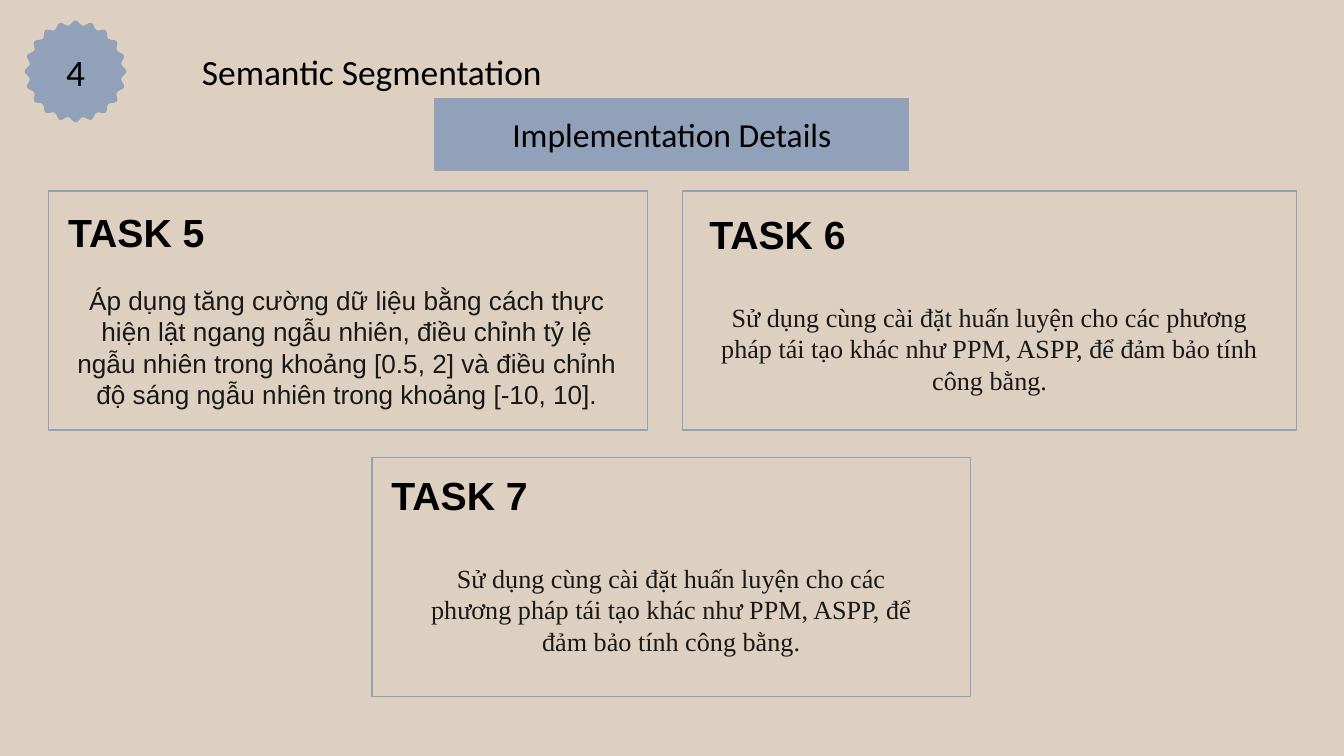
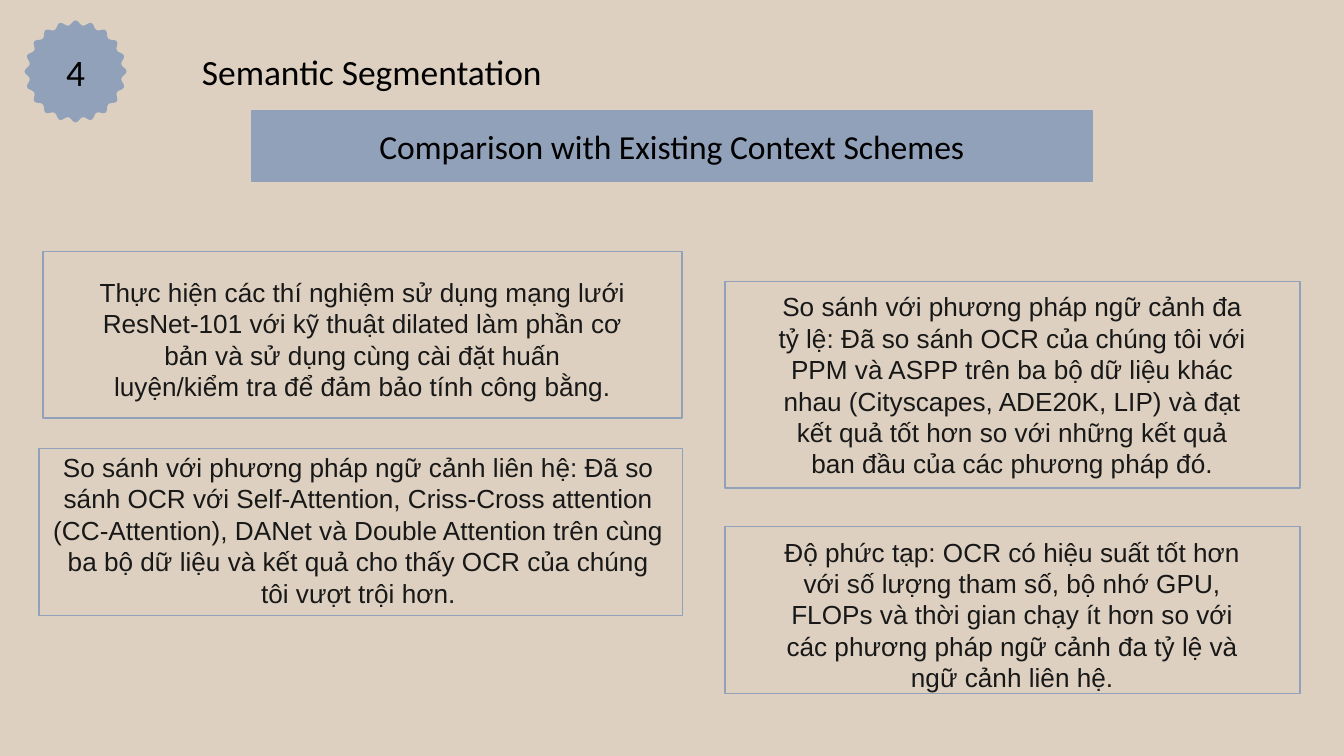
from dataclasses import dataclass
from math import cos, pi, sin
from typing import NamedTuple, Optional

from lxml.etree import SubElement
from pptx import Presentation
from pptx.dml.color import RGBColor
from pptx.enum.shapes import MSO_SHAPE as Preset
from pptx.enum.text import MSO_ANCHOR as Anchor, MSO_AUTO_SIZE as AutoSize, PP_ALIGN as Align
from pptx.oxml.ns import qn
from pptx.slide import Slide
from pptx.text.text import TextFrame
from pptx.util import Pt


class Box(NamedTuple):
    left: float
    top: float
    width: float
    height: float

    def lengths(self) -> list[Pt]:
        return [Pt(value) for value in self]


class Style(NamedTuple):
    size: float
    font: str
    color: RGBColor
    bold: bool = False
    align: Align = Align.CENTER
    leading: Optional[float] = None


@dataclass(frozen=True)
class Theme:
    sand: RGBColor = RGBColor(0xDD, 0xD0, 0xC0)
    slate: RGBColor = RGBColor(0x91, 0xA1, 0xBA)
    black: RGBColor = RGBColor(0, 0, 0)
    ink: RGBColor = RGBColor(0x18, 0x18, 0x18)
    outline: float = 0.75
    inset: float = 7.2

    @property
    def number(self) -> Style:
        return Style(20, "Calibri", self.black)

    @property
    def title(self) -> Style:
        return Style(19, "Calibri", self.black)

    @property
    def band(self) -> Style:
        return Style(18, "Calibri", self.black)

    @property
    def task(self) -> Style:
        return Style(21, "Arial", self.black, bold=True, align=Align.LEFT)

    def body(self, font: str) -> Style:
        return Style(14, font, self.ink, leading=16.8)


THEME = Theme()


@dataclass(frozen=True)
class Panel:
    border: Box
    body_box: Box
    body: str
    font: str = "Arial"
    task: str = ""
    task_box: Optional[Box] = None


@dataclass(frozen=True)
class Page:
    topic: str
    band_top: float
    band_width: float
    panels: tuple[Panel, ...]


# Shared layout, in points
SLIDE_WIDTH, SLIDE_HEIGHT = 720, 405
SECTION_NUMBER, SECTION_TITLE = "4", "Semantic Segmentation"
TITLE_BOX = Box(67.8, 21.2, 262.8, 33.8)
BAND_HEIGHT = 38.2
SEAL_X, SEAL_Y = 40.5, 38.3
SEAL_TIP_RADIUS, SEAL_DIP_RADIUS, SEAL_TIPS = 27.3, 24.8, 20
SEAL_HANDLE = 1.7

SAME_SETTINGS = ("Sử dụng cùng cài đặt huấn luyện cho các phương pháp tái tạo khác "
                 "như PPM, ASPP, để đảm bảo tính công bằng.")

PAGES = (
    Page("Implementation Details", 53, 253.8, (
        Panel(Box(25.9, 102.4, 321, 128), Box(31.1, 141.3, 309.6, 89.3),
              "Áp dụng tăng cường dữ liệu bằng cách thực hiện lật ngang ngẫu nhiên, "
              "điều chỉnh tỷ lệ ngẫu nhiên trong khoảng [0.5, 2] và điều chỉnh độ sáng "
              "ngẫu nhiên trong khoảng [-10, 10].",
              task="TASK 5", task_box=Box(29.4, 111.9, 93, 24.5)),
        Panel(Box(365.6, 102.4, 329, 128), Box(372.2, 152.4, 316, 68.4),
              SAME_SETTINGS, "Times New Roman", "TASK 6", Box(372.9, 112.3, 92, 25.9)),
        Panel(Box(199.4, 245, 320.7, 128.2), Box(218.9, 292.2, 281.5, 68.4),
              SAME_SETTINGS, "Times New Roman", "TASK 7", Box(202.6, 252.3, 100, 25.2)),
    )),
    Page("Comparison with Existing Context Schemes", 59.2, 450, (
        Panel(Box(23, 134.8, 342.4, 89.3), Box(46.2, 150.7, 296, 61.9),
              "Thực hiện các thí nghiệm sử dụng mạng lưới ResNet-101 với kỹ thuật dilated "
              "làm phần cơ bản và sử dụng cùng cài đặt huấn luyện/kiểm tra để đảm bảo "
              "tính công bằng."),
        Panel(Box(388.5, 150.7, 308, 110.8), Box(409.1, 167.3, 266.4, 77.8),
              "So sánh với phương pháp ngữ cảnh đa tỷ lệ: Đã so sánh OCR của chúng tôi với "
              "PPM và ASPP trên ba bộ dữ liệu khác nhau (Cityscapes, ADE20K, LIP) và đạt "
              "kết quả tốt hơn so với những kết quả ban đầu của các phương pháp đó."),
        Panel(Box(20.9, 240.4, 344.6, 89.3), Box(21, 256.2, 342, 55.4),
              "So sánh với phương pháp ngữ cảnh liên hệ: Đã so sánh OCR với Self-Attention, "
              "Criss-Cross attention (CC-Attention), DANet và Double Attention trên cùng ba "
              "bộ dữ liệu và kết quả cho thấy OCR của chúng tôi vượt trội hơn."),
        Panel(Box(388.5, 282.2, 308, 89.3), Box(409.1, 298.3, 266.4, 61.9),
              "Độ phức tạp: OCR có hiệu suất tốt hơn với số lượng tham số, bộ nhớ GPU, FLOPs "
              "và thời gian chạy ít hơn so với các phương pháp ngữ cảnh đa tỷ lệ và ngữ cảnh "
              "liên hệ."),
    )),
)


# Text
def write(frame: TextFrame, words: str, style: Style) -> None:
    inset = Pt(THEME.inset)
    frame_format = {
        "word_wrap": True, "auto_size": AutoSize.NONE, "vertical_anchor": Anchor.MIDDLE,
        "margin_left": inset, "margin_top": inset,
        "margin_right": inset, "margin_bottom": inset,
    }
    for name, value in frame_format.items():
        setattr(frame, name, value)
    frame.text = words
    paragraph = frame.paragraphs[0]
    paragraph.alignment = style.align
    if style.leading:
        paragraph.line_spacing = Pt(style.leading)
    font = paragraph.runs[0].font
    font_format = {"name": style.font, "size": Pt(style.size), "bold": style.bold}
    for name, value in font_format.items():
        setattr(font, name, value)
    font.color.rgb = style.color


def add_label(shapes, box: Box, words: str, style: Style) -> None:
    write(shapes.add_textbox(*box.lengths()).text_frame, words, style)


# Shapes
def add_rectangle(shapes, box: Box, filled: bool):
    rectangle = shapes.add_shape(Preset.RECTANGLE, *box.lengths())
    rectangle.shadow.inherit = False
    if filled:
        rectangle.fill.solid()
        rectangle.fill.fore_color.rgb = THEME.slate
    else:
        rectangle.fill.background()
    rectangle.line.color.rgb = THEME.slate
    rectangle.line.width = Pt(THEME.outline)
    return rectangle


def rim_point(step: int, handle: float = 0) -> tuple[Pt, Pt]:
    """Tip (even step) or dip (odd step), moved along the tangent by the handle."""
    angle = pi * step / SEAL_TIPS
    radius = SEAL_DIP_RADIUS if step % 2 else SEAL_TIP_RADIUS
    return (Pt(SEAL_X + radius * cos(angle) - handle * sin(angle)),
            Pt(SEAL_Y + radius * sin(angle) + handle * cos(angle)))


def round_rim(seal) -> None:
    """Turn the straight edges of the seal into curves."""
    for step, edge in enumerate(list(seal._element.iter(qn("a:lnTo")))):
        curve = (rim_point(step, SEAL_HANDLE), rim_point(step + 1, -SEAL_HANDLE),
                 rim_point(step + 1))
        edge.tag = qn("a:cubicBezTo")
        edge.remove(edge[0])
        for x, y in curve:
            SubElement(edge, qn("a:pt"), x=str(x - seal.left), y=str(y - seal.top))


def add_seal(slide: Slide) -> None:
    outline = slide.shapes.build_freeform(*rim_point(0))
    rim = [rim_point(step) for step in range(1, 2 * SEAL_TIPS)]
    outline.add_line_segments(rim + [rim_point(0)], close=False)
    seal = outline.convert_to_shape()
    round_rim(seal)
    seal.shadow.inherit = False
    seal.fill.solid()
    seal.fill.fore_color.rgb = THEME.slate
    seal.line.fill.background()
    write(seal.text_frame, SECTION_NUMBER, THEME.number)


def add_title(slide: Slide) -> None:
    title = slide.shapes.title
    for name, value in zip(TITLE_BOX._fields, TITLE_BOX.lengths()):
        setattr(title, name, value)
    write(title.text_frame, SECTION_TITLE, THEME.title)


def add_band(slide: Slide, page: Page) -> None:
    left = (SLIDE_WIDTH - page.band_width) / 2
    box = Box(left, page.band_top, page.band_width, BAND_HEIGHT)
    band = add_rectangle(slide.shapes, box, filled=True)
    write(band.text_frame, page.topic, THEME.band)


def add_panel(slide: Slide, panel: Panel) -> None:
    members = slide.shapes.add_group_shape().shapes
    add_rectangle(members, panel.border, filled=False)
    body_home = members
    if panel.task_box:
        add_label(members, panel.task_box, panel.task, THEME.task)
        body_home = slide.shapes
    add_label(body_home, panel.body_box, panel.body, THEME.body(panel.font))


def main() -> None:
    deck = Presentation()
    deck.slide_width, deck.slide_height = Pt(SLIDE_WIDTH), Pt(SLIDE_HEIGHT)
    backdrop = deck.slide_master.background.fill
    backdrop.solid()
    backdrop.fore_color.rgb = THEME.sand
    title_only = deck.slide_layouts.get_by_name("Title Only")

    for page in PAGES:
        slide = deck.slides.add_slide(title_only)
        add_seal(slide)
        add_title(slide)
        add_band(slide, page)
        for panel in page.panels:
            add_panel(slide, panel)

    deck.save("out.pptx")


if __name__ == "__main__":
    main()
